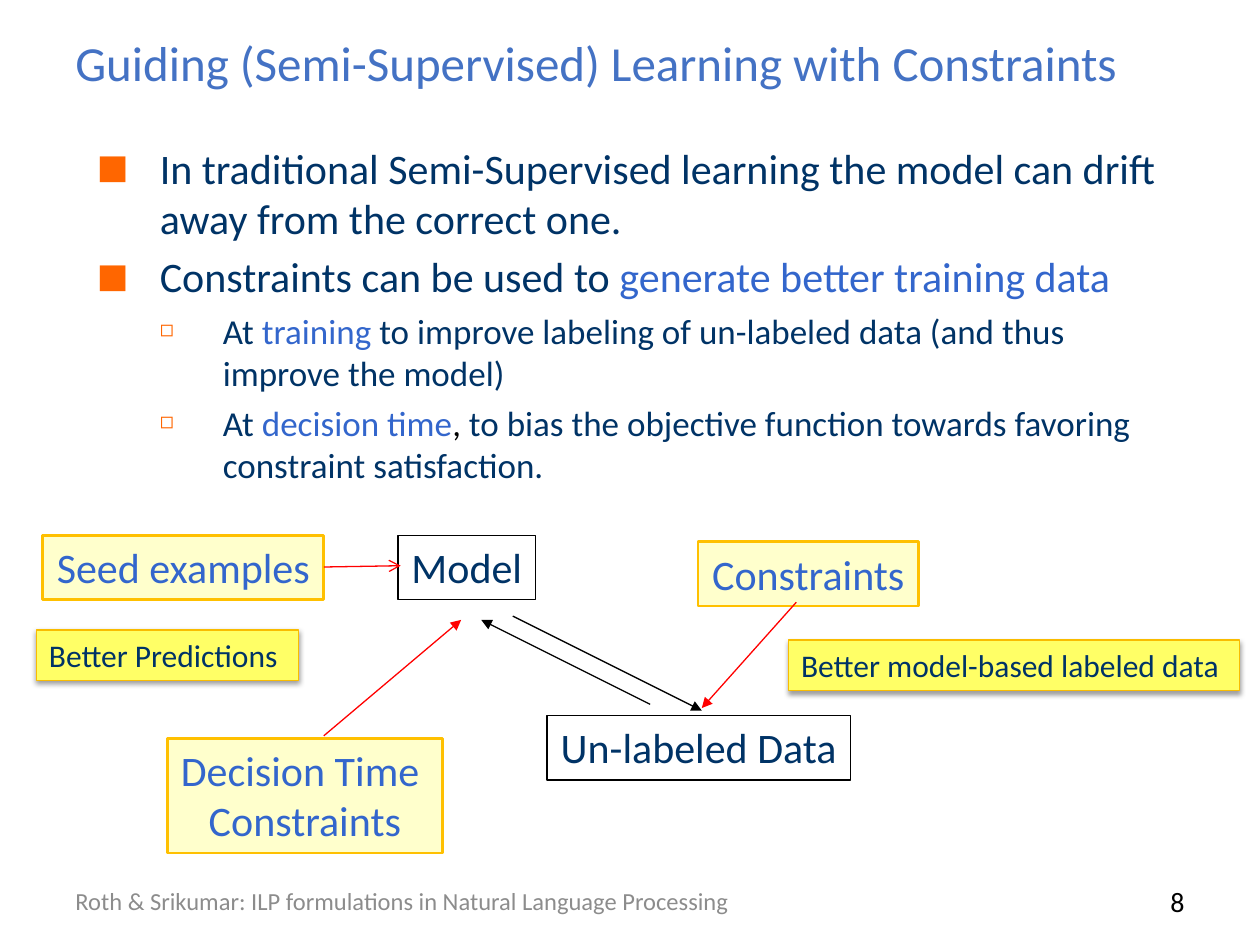
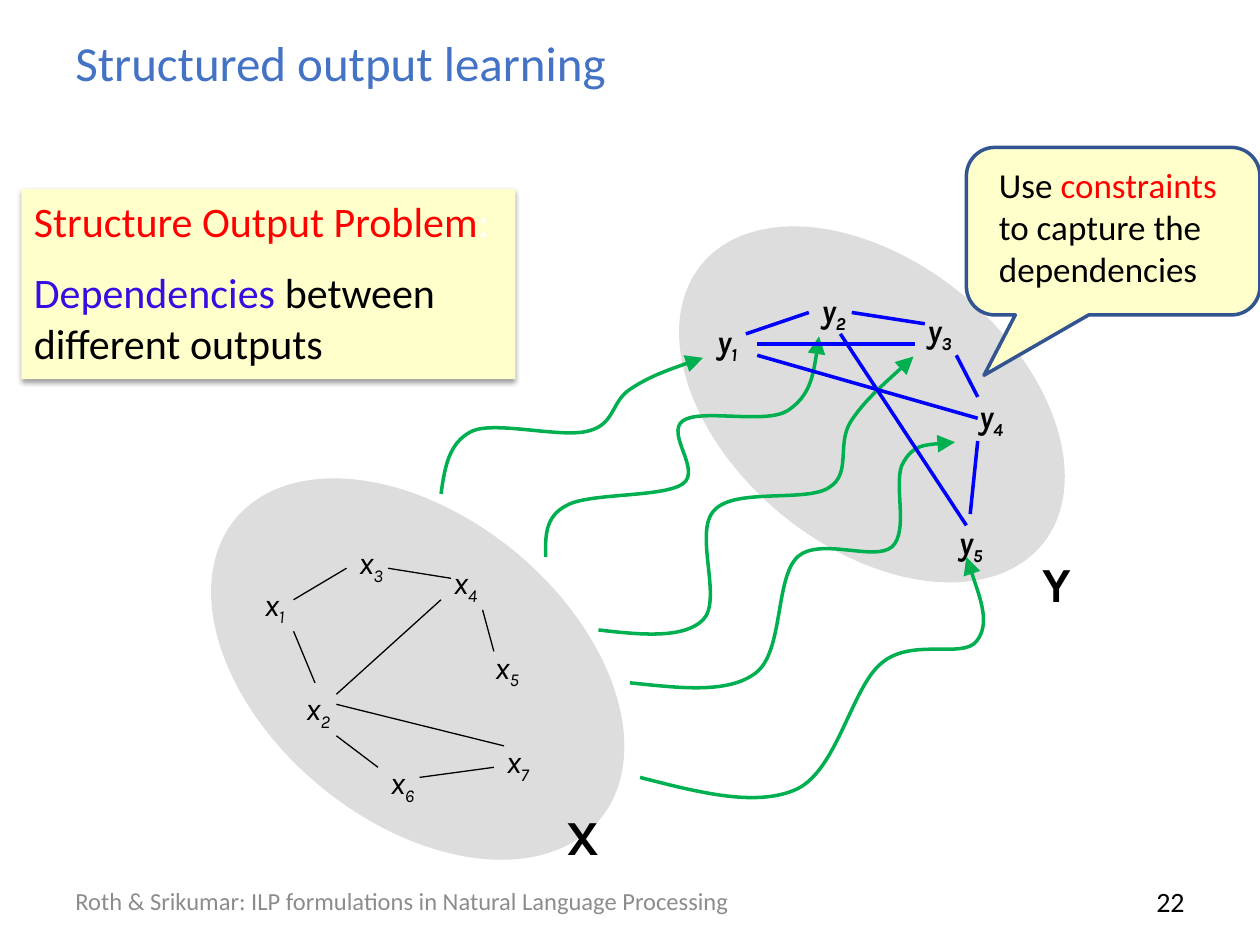
from lxml import etree
from pptx import Presentation
from pptx import util as u
from pptx.dml import color
from pptx.enum import shapes, text
from pptx.oxml import ns

SHAPE = shapes.MSO_SHAPE
ALIGN = text.PP_ALIGN
NAVY, BLUE, BLACK, RED, GREEN = "003366", "3366CC", "000000", "FF0000", "00B050"
CREAM, YELLOW, AMBER, GREY = "FFFFCC", "FFFF66", "FFC000", "DDDDDD"
FOOTER = "Roth & Srikumar: ILP formulations in Natural Language Processing"


def rgb(code):
    return color.RGBColor.from_string(code)


def child(parent, tag, **attrs):
    return etree.SubElement(parent, ns.qn(tag), {k: str(v) for k, v in attrs.items()})


class Deck:
    """Holds the shared style and the slide being drawn."""

    def __init__(self):
        self.prs = Presentation()
        self.prs.slide_width, self.prs.slide_height = u.Inches(10), u.Inches(7.5)

    def new_slide(self, title, number):
        self.s = self.prs.slides.add_slide(self.prs.slide_layouts[6])
        middle = text.MSO_ANCHOR.MIDDLE
        self.text(0.5, 0.15, 9, 0.68, [[(title, "4472C4")]], 28, anchor=middle)
        self.text(0.5, 6.95, 6.08, 0.4, [[(FOOTER, "8C8C8C")]], 14, anchor=middle)
        self.text(7.17, 6.95, 2.33, 0.4, [[(str(number), BLACK)]], 16,
                  align=ALIGN.RIGHT, anchor=middle)

    def run(self, p, words, colour, size, font="Calibri", bold=False, italic=False):
        r = p.add_run()
        r.text = words
        r.font.name, r.font.size = font, u.Pt(size)
        r.font.bold, r.font.italic = bold, italic
        r.font.color.rgb = rgb(colour)
        return r

    def fill_text(self, sp, paras, size, align=ALIGN.LEFT, wrap=True,
                  anchor=text.MSO_ANCHOR.TOP, gap=0, **font):
        tf = sp.text_frame
        tf.word_wrap, tf.vertical_anchor = wrap, anchor
        for i, runs in enumerate(paras):
            p = tf.add_paragraph() if i else tf.paragraphs[0]
            p.alignment, p.space_before = align, u.Pt(gap)
            for words, colour in runs:
                self.run(p, words, colour, size, **font)

    def text(self, x, y, w, h, paras, size, **style):
        sp = self.s.shapes.add_textbox(*map(u.Inches, (x, y, w, h)))
        self.fill_text(sp, paras, size, **style)
        return sp

    def outline(self, sp, colour, weight, tail=None, head_size="med"):
        sp.line.color.rgb, sp.line.width = rgb(colour), u.Pt(weight)
        if tail:
            child(sp.line._get_or_add_ln(), "a:tailEnd", type=tail,
                  w=head_size, len=head_size)

    def shape(self, kind, x, y, w, h, fill=None, line=None, weight=0.75, rotation=0):
        sp = self.s.shapes.add_shape(kind, *map(u.Inches, (x, y, w, h)))
        sp.shadow.inherit, sp.rotation = False, rotation
        if fill:
            sp.fill.solid()
            sp.fill.fore_color.rgb = rgb(fill)
        else:
            sp.fill.background()
        if line:
            self.outline(sp, line, weight)
        else:
            sp.line.fill.background()
        return sp

    def box(self, x, y, w, h, paras, size, fill=None, line=None, weight=0.75,
            shadow=False, **style):
        sp = self.shape(SHAPE.RECTANGLE, x, y, w, h, fill, line, weight)
        self.fill_text(sp, paras, size, **style)
        if shadow:
            effects = sp._element.spPr.find(ns.qn("a:effectLst"))
            shade = child(effects, "a:outerShdw", blurRad=u.Pt(3), dist=u.Pt(1.6),
                          dir=5400000, rotWithShape=0)
            child(child(shade, "a:srgbClr", val=BLACK), "a:alpha", val=38000)

    def label(self, x, y, w, lines, colour, fill=None, line=BLACK, weight=0.75):
        self.box(x, y, w, 0.11 + 0.4 * len(lines), [[(t, colour)] for t in lines], 24,
                 fill, line, weight, align=ALIGN.CENTER, wrap=False)

    def line(self, x1, y1, x2, y2, colour=BLACK, weight=0.75, tail=None):
        sp = self.s.shapes.add_connector(shapes.MSO_CONNECTOR.STRAIGHT,
                                         *map(u.Inches, (x1, y1, x2, y2)))
        self.outline(sp, colour, weight, tail)
        child(sp._element.spPr, "a:effectLst")

    def curve(self, *points):
        start, *rest = [(u.Inches(x), u.Inches(y)) for x, y in points]
        fb = self.s.shapes.build_freeform(*start)
        fb.add_line_segments(rest, close=False)
        sp = fb.convert_to_shape()
        sp.shadow.inherit = False
        sp.fill.background()
        self.outline(sp, GREEN, 2, "triangle", "lg")
        steps = list(sp._element.iter(ns.qn("a:lnTo")))
        track = steps[0].getparent()
        for i in range(0, len(steps), 3):
            bezier = child(track, "a:cubicBezTo")
            for step in steps[i:i + 3]:
                bezier.append(step[0])
                track.remove(step)

    def nodes(self, letter, places, bold=False):
        for i, (x, y) in enumerate(places, 1):
            sp = self.text(x, y, 0.41, 0.4, [[(letter, BLACK), (str(i), BLACK)]], 18,
                           wrap=False, font="Karla", bold=bold, italic=True)
            sp.text_frame.paragraphs[0].runs[1].font._element.set("baseline", "-25000")

    def bullets(self, x, y, w, h, items):
        sp = self.text(x, y, w, h, [], 24)
        for i, (level, runs) in enumerate(items):
            tf = sp.text_frame
            p = tf.add_paragraph() if i else tf.paragraphs[0]
            p.level, p.space_before = level, u.Pt(4.5)
            for words, colour in runs:
                self.run(p, words, colour, 20 if level else 24)
            pPr = p._p.get_or_add_pPr()
            pPr.set("marL", str(u.Inches(0.5 * (level + 1))))
            pPr.set("indent", str(u.Inches(-0.5)))
            child(child(pPr, "a:buClr"), "a:srgbClr", val="FF6600")
            child(pPr, "a:buSzPct", val=65000 if level else 80000)
            child(pPr, "a:buFont", typeface="Calibri")
            child(pPr, "a:buChar", char="◻" if level else "■")


def guiding_slide(d):
    d.new_slide("Guiding (Semi-Supervised) Learning with Constraints", 8)
    d.label(3.16, 4.25, 1.09, ["Model"], NAVY)
    d.label(4.34, 5.68, 2.41, ["Un-labeled Data"], NAVY)
    for x, y, w, lines in [(1.33, 5.86, 2.18, ["Decision Time ", "Constraints"]),
                           (5.54, 4.3, 1.75, ["Constraints"]),
                           (0.34, 4.25, 2.23, ["Seed examples"])]:
        d.label(x, y, w, lines, BLUE, CREAM, AMBER, 1.5)
    for ends, colour, tail in [((4.07, 4.89, 5.57, 5.64), BLACK, "triangle"),
                               ((5.16, 5.59, 3.82, 4.92), BLACK, "triangle"),
                               ((2.57, 5.84, 3.66, 4.92), RED, "triangle"),
                               ((6.32, 4.78, 5.57, 5.62), RED, "triangle"),
                               ((2.57, 4.5, 3.18, 4.49), RED, "arrow")]:
        d.line(*ends, colour, tail=tail)
    d.bullets(0.67, 1.08, 8.75, 2.87, [
        (0, [("In traditional Semi-Supervised learning the model can drift away "
              "from the correct one.", NAVY)]),
        (0, [("Constraints can be used to ", NAVY),
             ("generate better training data", BLUE)]),
        (1, [("At ", NAVY), ("training ", BLUE),
             ("to improve labeling of un-labeled data (and thus improve the model)", NAVY)]),
        (1, [("At ", NAVY), ("decision time", BLUE), (", ", BLACK),
             ("to bias the objective function towards favoring constraint "
              "satisfaction.", NAVY)])])
    for x, y, w, words in [(6.26, 5.08, 3.58, "Better model-based labeled data"),
                           (0.29, 5, 2.08, "Better Predictions")]:
        d.box(x, y, w, 0.4, [[(words, NAVY)]], 18, YELLOW, "F9BC00", shadow=True)


def structured_slide(d):
    d.new_slide("Structured output learning", 22)
    d.shape(SHAPE.OVAL, 1.44, 4.1, 3.75, 2.42, GREY, rotation=39.4)
    d.nodes("x", [(2, 4.59), (2.33, 5.42), (2.75, 4.26), (3.5, 4.42),
                  (3.83, 5.09), (3, 6.01), (3.92, 5.84)])
    for ends in [(2.33, 4.76, 2.75, 4.51), (2.33, 5.01, 2.5, 5.42),
                 (3.08, 4.51, 3.58, 4.59), (3.83, 4.84, 3.92, 5.17),
                 (2.67, 5.59, 4, 5.92), (2.67, 5.51, 3.5, 4.76),
                 (2.67, 5.84, 3, 6.09), (3.33, 6.17, 3.92, 6.09)]:
        d.line(*ends)
    d.shape(SHAPE.OVAL, 5.17, 2.08, 3.5, 2.26, GREY, rotation=39.4)
    for x, y, name in [(4.25, 6.35, "X"), (8.01, 4.34, "Y")]:
        d.text(x, y, 0.75, 0.57, [[(name, BLACK)]], 28, align=ALIGN.CENTER,
               font="Karla", bold=True)
    d.nodes("y", [(5.59, 2.51), (6.42, 2.26), (7.26, 2.42), (7.67, 3.1), (7.51, 4.1)],
            bold=True)
    d.box(0.17, 1.5, 3.92, 1.51,
          [[("Structure Output Problem", RED), (":", "FFFFFF")],
           [("Dependencies ", "360EE2"), ("between different outputs", BLACK)]],
          24, CREAM, shadow=True, gap=12)
    d.curve((3.5, 3.92), (3.53, 3.71), (3.56, 3.51), (3.75, 3.42),
            (3.94, 3.34), (4.46, 3.48), (4.67, 3.42), (4.88, 3.37), (4.85, 3.19), (5, 3.09),
            (5.15, 2.99), (5.37, 2.91), (5.58, 2.84))
    d.curve((4.33, 4.42), (4.33, 4.26), (4.32, 4.1), (4.5, 4.01),
            (4.68, 3.91), (5.26, 3.95), (5.42, 3.84), (5.57, 3.73), (5.28, 3.44), (5.42, 3.34),
            (5.56, 3.24), (6.07, 3.37), (6.25, 3.26), (6.43, 3.14), (6.47, 2.91), (6.5, 2.67))
    d.curve((5, 5.42), (5.39, 5.46), (5.78, 5.51), (6, 5.34),
            (6.22, 5.17), (6.15, 4.59), (6.33, 4.42), (6.51, 4.26), (6.94, 4.46), (7.08, 4.34),
            (7.22, 4.21), (7.08, 3.81), (7.17, 3.67), (7.25, 3.53), (7.42, 3.52), (7.58, 3.51))
    d.curve((5.08, 6.17), (5.55, 6.29), (6.01, 6.41), (6.33, 6.26),
            (6.65, 6.1), (6.76, 5.45), (7, 5.26), (7.24, 5.06), (7.64, 5.23), (7.75, 5.09),
            (7.86, 4.95), (7.76, 4.69), (7.67, 4.42))
    d.curve((4.75, 5), (5.09, 5.04), (5.43, 5.07), (5.58, 4.92),
            (5.74, 4.76), (5.5, 4.22), (5.67, 4.05), (5.83, 3.87), (6.4, 3.99), (6.58, 3.87),
            (6.76, 3.76), (6.64, 3.53), (6.75, 3.35), (6.86, 3.18), (7.06, 3.01), (7.25, 2.83))
    for ends in [(7.26, 2.73, 6.01, 2.73), (5.92, 2.65, 6.42, 2.48),
                 (6.76, 2.48, 7.34, 2.57), (7.59, 2.82, 7.76, 3.15),
                 (7.76, 3.5, 7.7, 4.08), (6.67, 2.65, 7.67, 4.17),
                 (7.76, 3.32, 6.01, 2.82)]:
        d.line(*ends, "0000FF", 2)
    callout = d.shape(SHAPE.ROUNDED_RECTANGULAR_CALLOUT, 7.67, 1.17, 2.33, 1.33,
                      CREAM, "325491", 2)
    for i, value in enumerate((-0.44, 0.86, 0.17)):
        callout.adjustments[i] = value
    d.box(7.83, 1.25, 2, 1.11,
          [[("Use ", BLACK), ("constraints ", RED), ("to capture the dependencies", BLACK)]],
          20, CREAM)


def main():
    d = Deck()
    guiding_slide(d)
    structured_slide(d)
    d.prs.save("out.pptx")


if __name__ == "__main__":
    main()
